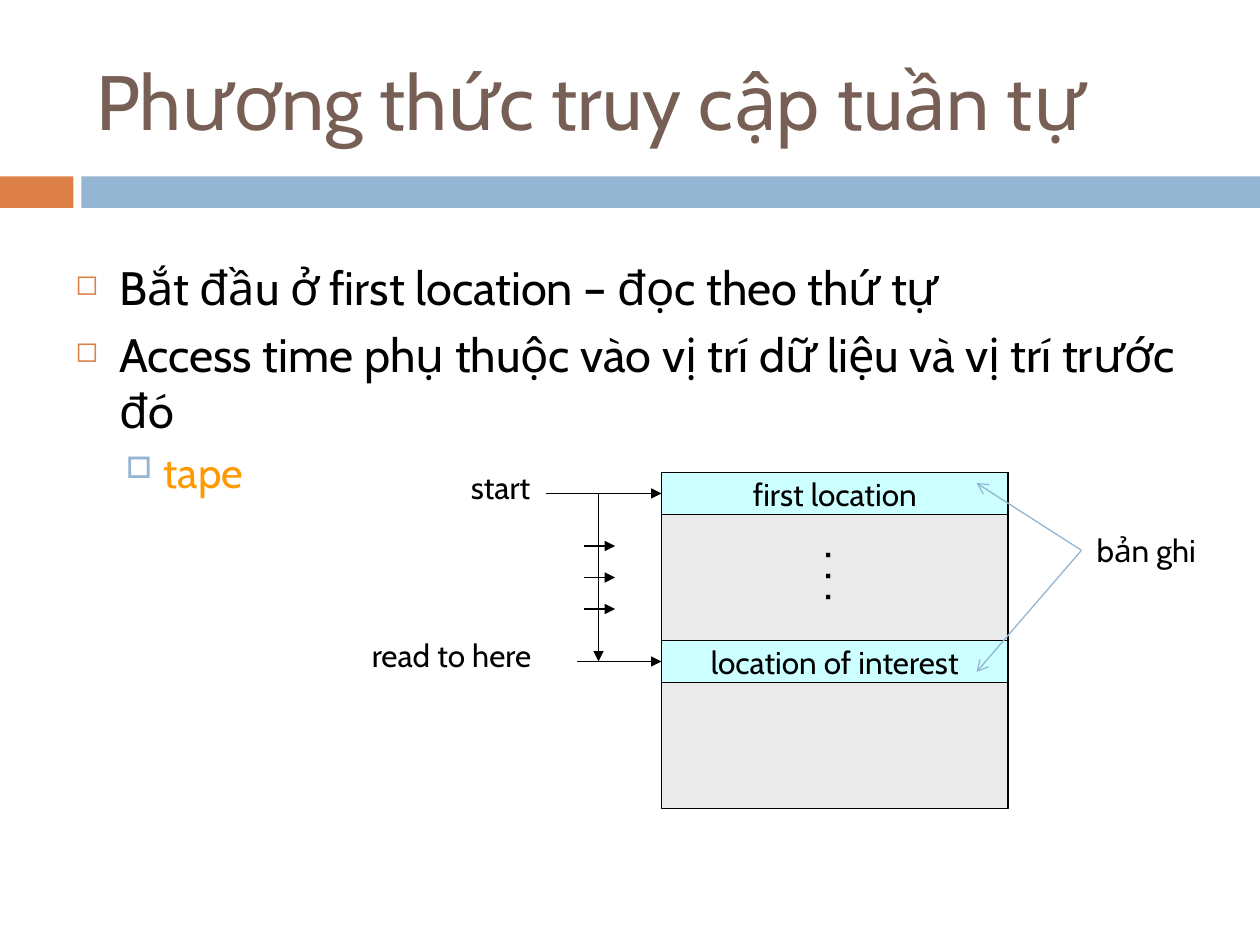
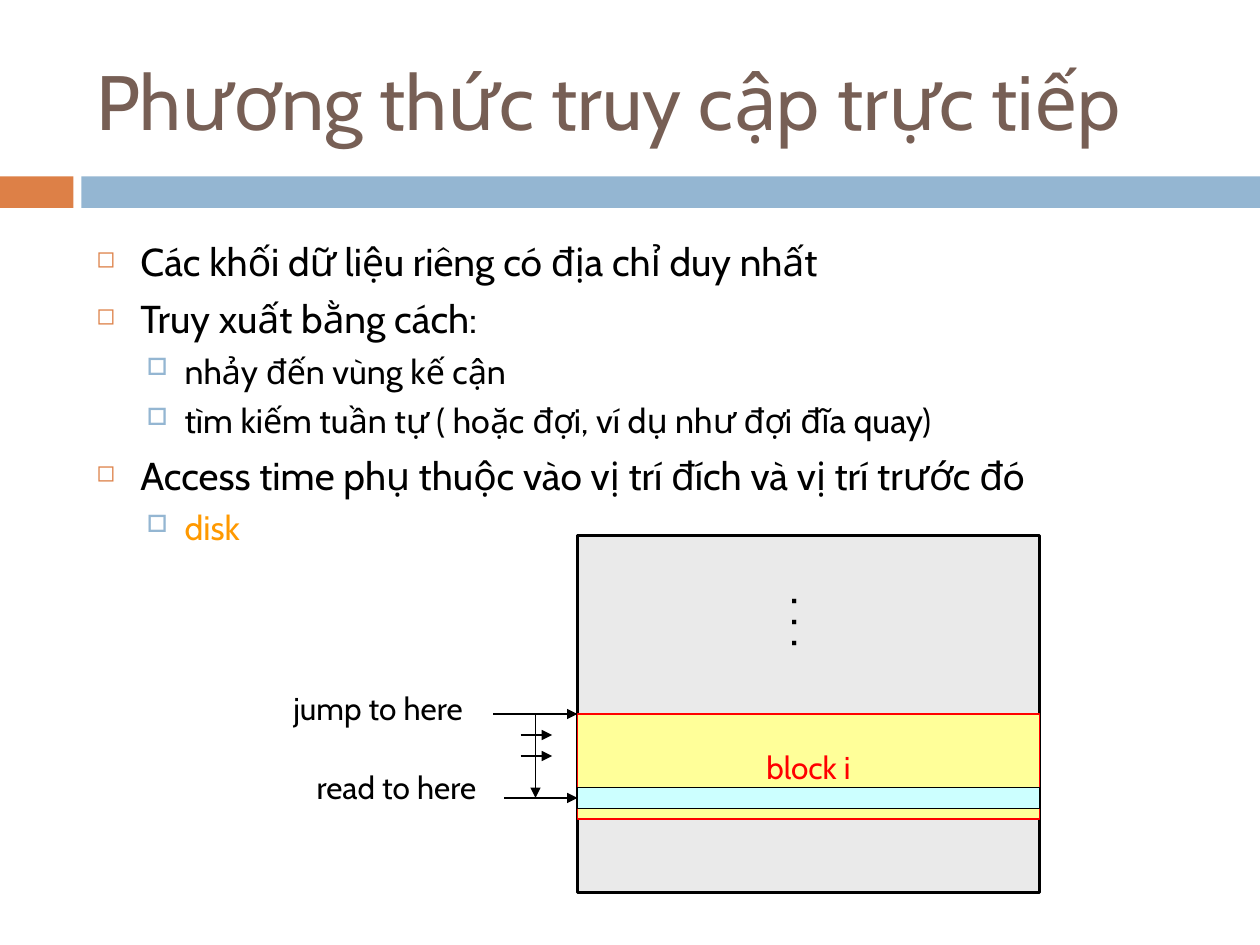
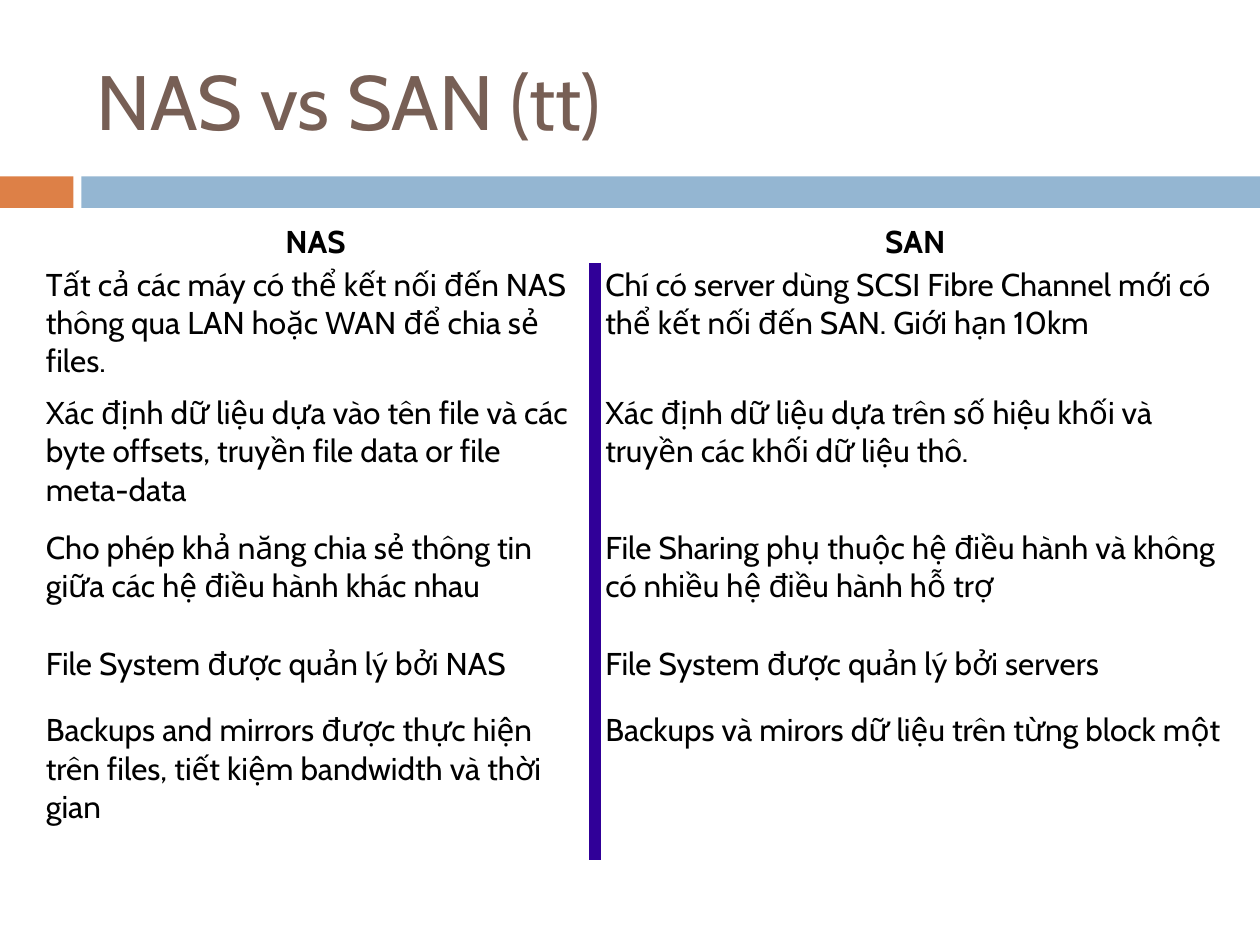
from dataclasses import dataclass

from lxml.etree import SubElement
from pptx import Presentation
from pptx.dml.color import RGBColor
from pptx.enum.shapes import MSO_CONNECTOR as Line, MSO_SHAPE as Preset
from pptx.enum.text import MSO_ANCHOR as Anchor, PP_ALIGN as Align
from pptx.oxml.ns import qn
from pptx.util import Pt


@dataclass(frozen=True)
class Theme:
    font: str = "Cabin"
    title: str = "775F55"
    text: str = "000000"
    accent: str = "DD8047"
    band: str = "94B6D2"
    example: str = "FF9900"
    store: str = "EAEAEA"
    record: str = "CCFFFF"
    block: str = "FFFF99"
    alert: str = "FF0000"
    divider: str = "300098"
    title_size: float = 44
    label_size: float = 18
    dots_size: float = 28
    thin: float = 0.75
    thick: float = 1.5


THEME = Theme()
LEFT_SIDE = 1
NO_STYLE_NO_GRID = "{2D5ABB26-0587-4C30-8999-92F81FD0307C}"

# Content: body lines are (level, text, colour)
SEQUENTIAL_TITLE = "Phương thức truy cập tuần tự"
SEQUENTIAL_LINES = [
    (0, "Bắt đầu ở first location – đọc theo thứ tự", THEME.text),
    (0, "Access time phụ thuộc vào vị trí dữ liệu và vị trí trước đó", THEME.text),
    (1, "tape", THEME.example),
]
DIRECT_TITLE = "Phương thức truy cập trực tiếp"
DIRECT_LINES = [
    (0, "Các khối dữ liệu riêng có địa chỉ duy nhất", THEME.text),
    (0, "Truy xuất bằng cách:", THEME.text),
    (1, "nhảy đến vùng kế cận", THEME.text),
    (1, "tìm kiếm tuần tự ( hoặc đợi, ví dụ như đợi đĩa quay)", THEME.text),
    (0, "Access time phụ thuộc vào vị trí đích và vị trí trước đó", THEME.text),
    (1, "disk", THEME.example),
]
COMPARISON_TITLE = "NAS vs SAN (tt)"
COMPARISON_COLUMNS = [312.5, 7.2, 358.5]
COMPARISON_ROWS = [  # height, NAS, SAN
    (23, "NAS", "SAN"),
    (73.4, "Tất cả các máy có thể kết nối đến NAS thông qua LAN hoặc WAN để chia sẻ files.",
     "Chí có server dùng SCSI Fibre Channel mới có thể kết nối đến SAN. Giới hạn 10km"),
    (77, "Xác định dữ liệu dựa vào tên file và các byte offsets, truyền file data or file meta-data",
     "Xác định dữ liệu dựa trên số hiệu khối và truyền các khối dữ liệu thô."),
    (66.2, "Cho phép khả năng chia sẻ thông tin giữa các hệ điều hành khác nhau",
     "File Sharing phụ thuộc hệ điều hành và không có nhiều hệ điều hành hỗ trợ"),
    (38.2, "File System được quản lý bởi NAS", "File System được quản lý bởi servers"),
    (86.4, "Backups and mirrors được thực hiện trên files, tiết kiệm bandwidth và thời gian",
     "Backups và mirors dữ liệu trên từng block một"),
]

# Per level: text indent, hanging, space before, sign, colour, sign size
BULLETS = [
    (25.2, 25.2, 6.25, "◻", THEME.accent, 60),
    (50.4, 21.6, 5, "□", THEME.band, 70),
]


def rgb(colour):
    return RGBColor.from_string(colour)


def points(*lengths):
    return [Pt(length) for length in lengths]


def add_span(para, text, size=THEME.label_size, colour=THEME.text, bold=False):
    span = para.add_run()
    span.text = text
    span.font.name = THEME.font
    span.font.size = Pt(size)
    span.font.bold = bold
    span.font.color.rgb = rgb(colour)


def add_box(page, area, text="", size=THEME.label_size, colour=THEME.text,
            align=Align.CENTER, anchor=Anchor.TOP):
    box = page.shapes.add_textbox(*points(*area))
    box.text_frame.word_wrap = True
    box.text_frame.vertical_anchor = anchor
    if text:
        para = box.text_frame.paragraphs[0]
        para.alignment = align
        add_span(para, text, size, colour)
    return box


def add_rectangle(page, area, fill, line=None, width=THEME.thin, text="", colour=THEME.text):
    part = page.shapes.add_shape(Preset.RECTANGLE, *points(*area))
    part.shadow.inherit = False
    part.fill.solid()
    part.fill.fore_color.rgb = rgb(fill)
    if line:
        part.line.color.rgb = rgb(line)
        part.line.width = Pt(width)
    else:
        part.line.fill.background()
    if text:
        frame = part.text_frame
        frame.word_wrap = False
        frame.vertical_anchor = Anchor.MIDDLE
        para = frame.paragraphs[0]
        para.alignment = Align.CENTER
        add_span(para, text, colour=colour)
    return part


def add_arrow(page, start, end, colour=THEME.text, head="triangle", source=None, target=None):
    arrow = page.shapes.add_connector(Line.STRAIGHT, *points(*start, *end))
    if source:
        arrow.begin_connect(source, LEFT_SIDE)
    if target:
        arrow.end_connect(target, LEFT_SIDE)
    arrow.line.color.rgb = rgb(colour)
    arrow.line.width = Pt(THEME.thin)
    properties = arrow.element.spPr
    SubElement(properties.find(qn("a:ln")), qn("a:tailEnd"), type=head)
    SubElement(properties, qn("a:effectLst"))


def add_dots(page, area):
    add_box(page, area, ". . .", THEME.dots_size).rotation = 90


def add_reading_path(page, across, top, bottom, ticks):
    """Downward arrow crossed by a short arrow at each tick."""
    add_arrow(page, (across, top), (across, bottom))
    for tick in ticks:
        add_arrow(page, (across - 8.5, tick), (across + 9.5, tick))


def add_bullet(para, level):
    indent, hanging, before, sign, colour, percent = BULLETS[level]
    properties = para._p.get_or_add_pPr()
    properties.set("marL", str(Pt(indent)))
    properties.set("indent", str(-Pt(hanging)))
    SubElement(SubElement(properties, qn("a:buClr")), qn("a:srgbClr"), val=colour)
    SubElement(properties, qn("a:buSzPct"), val=str(percent * 1000))
    SubElement(properties, qn("a:buChar"), char=sign)
    para.level = level
    return before


def add_body(page, area, lines, sizes):
    frame = add_box(page, area).text_frame
    for index, (level, text, colour) in enumerate(lines):
        para = frame.add_paragraph() if index else frame.paragraphs[0]
        before = add_bullet(para, level)
        para.space_before = Pt(before if index else 0)
        add_span(para, text, sizes[level], colour)


def add_page(deck, title):
    page = deck.slides.add_slide(deck.slide_layouts[6])
    add_rectangle(page, (0, 100.8, 42, 18), THEME.accent)
    add_rectangle(page, (46.5, 100.8, 673.5, 18), THEME.band)
    add_box(page, (48, 18, 642, 78), title, THEME.title_size, THEME.title,
            Align.LEFT, Anchor.MIDDLE)
    return page


def build_sequential(deck):
    page = add_page(deck, SEQUENTIAL_TITLE)
    add_body(page, (36, 144, 644, 146), SEQUENTIAL_LINES, (26.8, 24.1))

    # Tape with its two records
    left, top, width, record_height = 378, 270, 198, 24
    add_rectangle(page, (left, top, width, 192), THEME.store, THEME.text)
    first, wanted = [
        add_rectangle(page, (left, place, width, record_height), THEME.record, THEME.text, text=name)
        for place, name in ((top, "first location"), (top + 96, "location of interest"))
    ]
    add_dots(page, (454.5, 309, 58, 41))

    # Reading from the start to the wanted record
    start, stop = top + record_height / 2, top + 96 + record_height / 2
    add_box(page, (249, 264, 74, 36), "start")
    add_box(page, (192, 360, 132, 36), "read to here")
    add_arrow(page, (312, start), (left, start), target=first)
    add_arrow(page, (330, stop), (left, stop), target=wanted)
    add_reading_path(page, 342, start, stop, [312, 330, 348])

    # Both records carry one label
    label = add_box(page, (618, 300, 74, 29), "bản ghi")
    for place in (276, 384):
        add_arrow(page, (618, 314.5), (558, place), THEME.band, "arrow", source=label)


def build_direct(deck):
    page = add_page(deck, DIRECT_TITLE)
    add_body(page, (48, 132, 612, 174), DIRECT_LINES, (22.2, 19.4))

    # Disk, block and the sector inside it
    left, width, jump, stop = 330, 264, 408, 456
    add_rectangle(page, (left, 306, width, 204), THEME.store, THEME.text, THEME.thick)
    add_rectangle(page, (left, jump, width, 60), THEME.block, THEME.alert,
                  text="block i", colour=THEME.alert)
    sector = add_rectangle(page, (left, stop - 6, width, 12), THEME.record, THEME.text)
    add_dots(page, (432, 335.5, 64, 41))

    # Jump to the block, then read on to the sector
    add_box(page, (144, 390, 144, 36), "jump to here")
    add_box(page, (160.5, 435.5, 132, 36), "read to here")
    add_arrow(page, (282, jump), (left, jump))
    add_arrow(page, (288, stop), (left, stop), target=sector)
    add_reading_path(page, 306, jump, stop, [420, 432])


def build_comparison(deck):
    page = add_page(deck, COMPARISON_TITLE)
    area = (24, 126, sum(COMPARISON_COLUMNS), sum(row[0] for row in COMPARISON_ROWS))
    frame = page.shapes.add_table(len(COMPARISON_ROWS), len(COMPARISON_COLUMNS), *points(*area))
    table = frame.table
    table.first_row = table.horz_banding = False
    frame.element.find(".//" + qn("a:tableStyleId")).text = NO_STYLE_NO_GRID
    for column, width in zip(table.columns, COMPARISON_COLUMNS):
        column.width = Pt(width)

    for index, (height, *sides) in enumerate(COMPARISON_ROWS):
        heading = index == 0
        row = table.rows[index]
        row.height = Pt(height)
        for cell in row.cells:
            cell.margin_left = cell.margin_right = Pt(2.2)
            cell.margin_top = cell.margin_bottom = Pt(1.4)
            cell.fill.background()
        nas, divider, san = row.cells
        for cell, text in zip((nas, san), sides):
            para = cell.text_frame.paragraphs[0]
            para.alignment = Align.CENTER if heading else Align.LEFT
            add_span(para, text, bold=heading)
        if not heading:
            divider.fill.solid()
            divider.fill.fore_color.rgb = rgb(THEME.divider)


def main():
    deck = Presentation()
    deck.slide_width, deck.slide_height = points(720, 540)
    build_sequential(deck)
    build_direct(deck)
    build_comparison(deck)
    deck.save("out.pptx")


if __name__ == "__main__":
    main()
